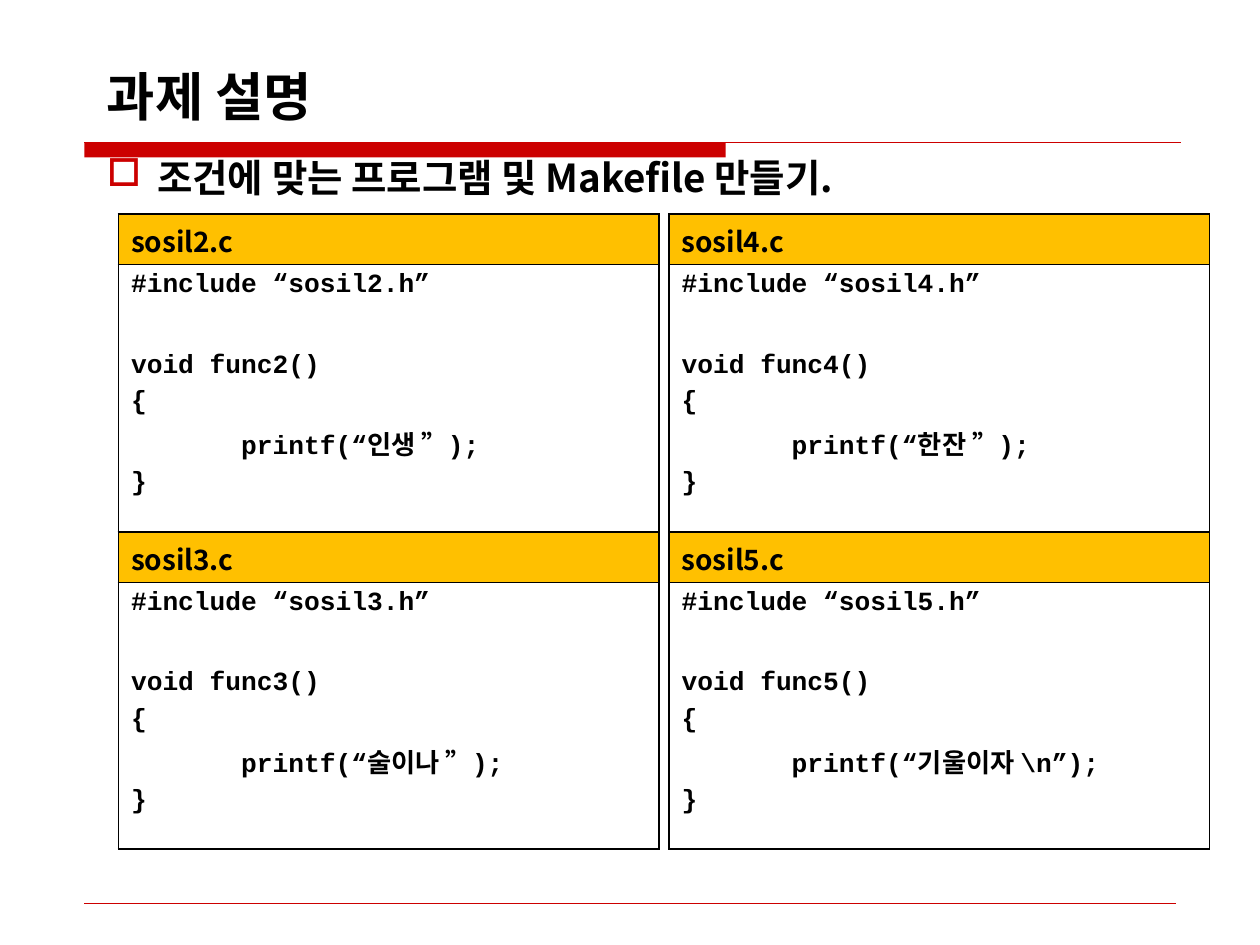
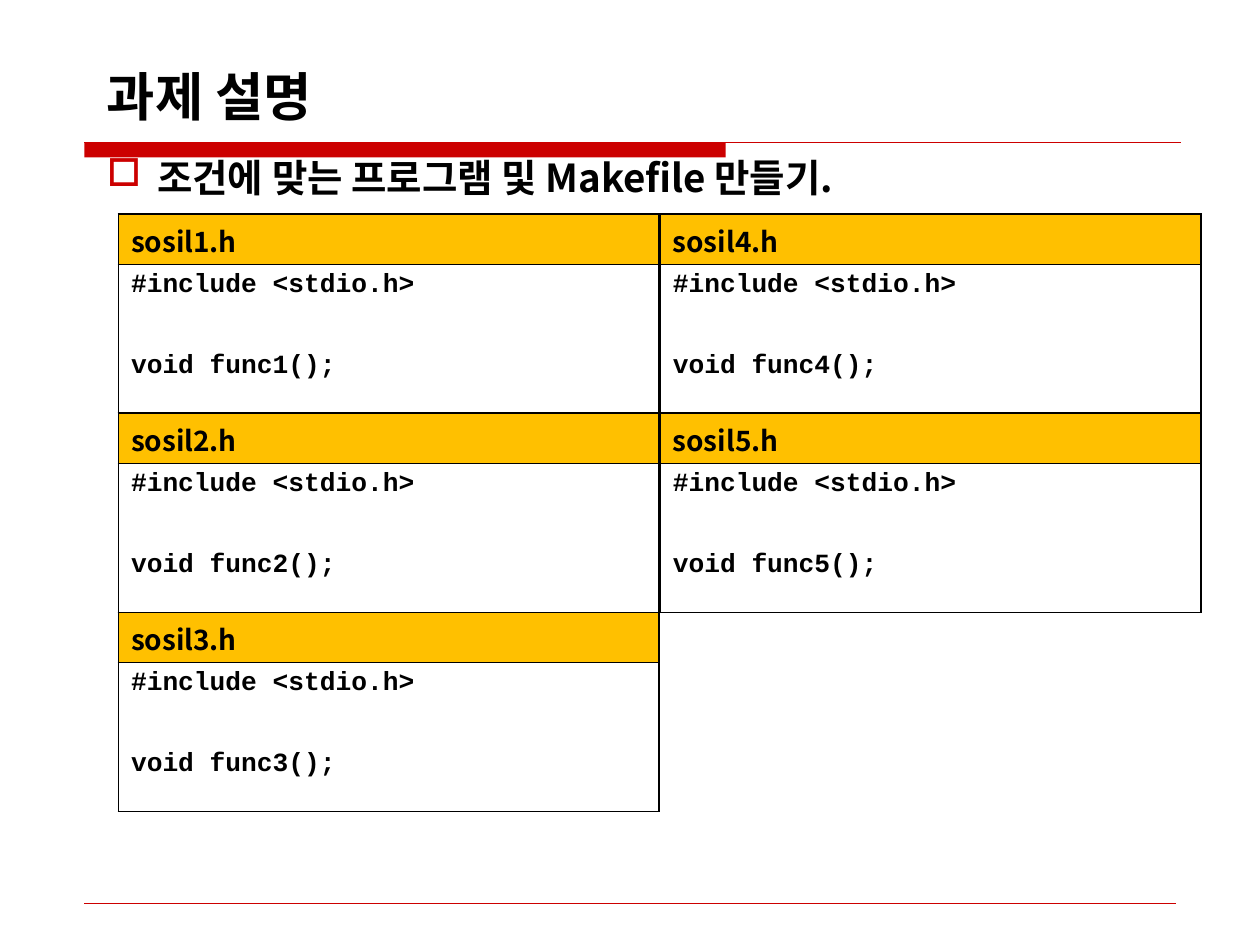
from dataclasses import dataclass

from lxml.etree import SubElement
from pptx import Presentation
from pptx.dml.color import RGBColor
from pptx.enum.shapes import MSO_CONNECTOR as Connector, MSO_SHAPE as Shape
from pptx.enum.text import MSO_ANCHOR as Anchor
from pptx.oxml.ns import qn
from pptx.slide import Slide
from pptx.table import _Cell as Cell
from pptx.text.text import TextFrame, _Paragraph as Paragraph
from pptx.util import Inches, Pt


@dataclass(frozen=True)
class Theme:
    red: str = "CC0000"
    gold: str = "FFC000"
    black: str = "000000"
    sans: str = "Noto Sans CJK KR"
    mono: str = "Courier New"
    title_size: float = 30
    topic_size: float = 22
    file_size: float = 16
    code_size: float = 15
    code_gap: float = 3.7
    blank_line_gap: float = 29
    outer_line: float = 1.08
    inner_line: float = 0.45


@dataclass(frozen=True)
class CodeFile:
    name: str
    code: str
    column: int
    row: int


@dataclass(frozen=True)
class CodeGrid:
    files: list[CodeFile]
    column_pitch: float
    row_pitch: float


THEME = Theme()
TITLE = "과제 설명"
TOPIC = "조건에 맞는 프로그램 및 Makefile 만들기."
GRID_LEFT, GRID_TOP = 0.94, 1.70
TABLE_WIDTH, HEADER_HEIGHT = 4.29, 0.40


# Source files shown on the slides
def source_file(number: int, message: str, column: int, row: int) -> CodeFile:
    code = (f"#include “sosil{number}.h”\n\nvoid func{number}()\n{{\n"
            f"       printf(“{message}”);\n}}")
    return CodeFile(f"sosil{number}.c", code, column, row)


def header_file(number: int, column: int, row: int) -> CodeFile:
    code = f"#include <stdio.h>\n\nvoid func{number}();"
    return CodeFile(f"sosil{number}.h", code, column, row)


GRIDS = [
    CodeGrid([source_file(3, "술이나 ", 0, 1), source_file(4, "한잔 ", 1, 0),
              source_file(2, "인생 ", 0, 0), source_file(5, "기울이자 \\n", 1, 1)],
             column_pitch=4.37, row_pitch=2.52),
    CodeGrid([header_file(2, 0, 1), header_file(1, 0, 0), header_file(3, 0, 2),
              header_file(4, 1, 0), header_file(5, 1, 1)],
             column_pitch=4.30, row_pitch=1.58),
]


# Text
def write(para: Paragraph, text: str, *, size: float, font: str = THEME.sans,
          color: str = THEME.black, bold: bool = True) -> None:
    span = para.add_run()
    span.text = text
    span.font.size = Pt(size)
    span.font.bold = bold
    span.font.name = font
    span.font.color.rgb = RGBColor.from_string(color)
    SubElement(span.font._element, qn("a:ea"), typeface=THEME.sans)


def add_text_frame(page: Slide, left: float, top: float, width: float,
                   height: float, anchor: Anchor) -> TextFrame:
    box = page.shapes.add_textbox(Inches(left), Inches(top),
                                  Inches(width), Inches(height))
    frame = box.text_frame
    frame.word_wrap = True
    frame.vertical_anchor = anchor
    frame.margin_top = frame.margin_bottom = 0
    return frame


def set_bullet(para: Paragraph, symbol: str, color: str, indent: float) -> None:
    props = para._p.get_or_add_pPr()
    props.set("marL", str(Inches(indent)))
    props.set("indent", str(-Inches(indent)))
    SubElement(SubElement(props, qn("a:buClr")), qn("a:srgbClr"), val=color)
    SubElement(props, qn("a:buChar"), char=symbol)


# Lines and frame of each page
def add_rule(page: Slide, left: float, right: float, top: float, weight: float) -> None:
    rule = page.shapes.add_connector(Connector.STRAIGHT, Inches(left), Inches(top),
                                     Inches(right), Inches(top))
    rule.line.color.rgb = RGBColor.from_string(THEME.red)
    rule.line.width = Pt(weight)
    SubElement(rule._element.spPr, qn("a:effectLst"))


def add_page_frame(page: Slide) -> None:
    band = page.shapes.add_shape(Shape.RECTANGLE, Inches(0.67), Inches(1.13),
                                 Inches(5.09), Inches(0.12))
    band.shadow.inherit = False
    band.fill.solid()
    band.fill.fore_color.rgb = RGBColor.from_string(THEME.red)
    band.line.fill.background()
    add_rule(page, 0.67, 9.37, 1.13, 0.75)
    add_rule(page, 0.67, 9.33, 7.17, 0.25)

    title = add_text_frame(page, 0.75, 0.28, 8.74, 0.73, Anchor.BOTTOM)
    write(title.paragraphs[0], TITLE, size=THEME.title_size)

    topic = add_text_frame(page, 0.75, 1.15, 8.66, 5.69, Anchor.TOP).paragraphs[0]
    topic.line_spacing = 1.2
    set_bullet(topic, "□", THEME.red, 0.4)
    write(topic, TOPIC, size=THEME.topic_size)


# Code tables
def set_borders(cell: Cell, top: float, bottom: float) -> None:
    props = cell._tc.get_or_add_tcPr()
    sides = {"lnL": THEME.outer_line, "lnR": THEME.outer_line,
             "lnT": top, "lnB": bottom}
    for side, weight in sides.items():
        line = SubElement(props, qn(f"a:{side}"), w=str(Pt(weight)))
        fill = SubElement(line, qn("a:solidFill"))
        SubElement(fill, qn("a:srgbClr"), val=THEME.black)


def write_code(cell: Cell, code: str) -> None:
    frame = cell.text_frame
    for block_index, block in enumerate(code.split("\n\n")):
        for line_index, line in enumerate(block.split("\n")):
            first = block_index == line_index == 0
            para = frame.paragraphs[0] if first else frame.add_paragraph()
            if not first:
                gap = THEME.code_gap if line_index else THEME.blank_line_gap
                para.space_before = Pt(gap)
            write(para, line, size=THEME.code_size, font=THEME.mono)


def add_code_table(page: Slide, file: CodeFile, grid: CodeGrid) -> None:
    left = GRID_LEFT + file.column * grid.column_pitch
    top = GRID_TOP + file.row * grid.row_pitch
    table = page.shapes.add_table(2, 1, Inches(left), Inches(top),
                                  Inches(TABLE_WIDTH), Inches(grid.row_pitch)).table
    table.first_row = table.horz_banding = False
    table.rows[0].height = Inches(HEADER_HEIGHT)
    table.rows[1].height = Inches(grid.row_pitch - HEADER_HEIGHT)

    header, body = table.cell(0, 0), table.cell(1, 0)
    set_borders(header, THEME.outer_line, THEME.inner_line)
    set_borders(body, THEME.inner_line, THEME.outer_line)
    header.fill.solid()
    header.fill.fore_color.rgb = RGBColor.from_string(THEME.gold)
    body.fill.background()
    write(header.text_frame.paragraphs[0], file.name, size=THEME.file_size)
    write_code(body, file.code)


def main() -> None:
    deck = Presentation()
    deck.slide_width, deck.slide_height = Inches(10), Inches(7.5)
    for grid in GRIDS:
        page = deck.slides.add_slide(deck.slide_layouts[6])
        add_page_frame(page)
        for file in grid.files:
            add_code_table(page, file, grid)
    deck.save("out.pptx")


if __name__ == "__main__":
    main()
